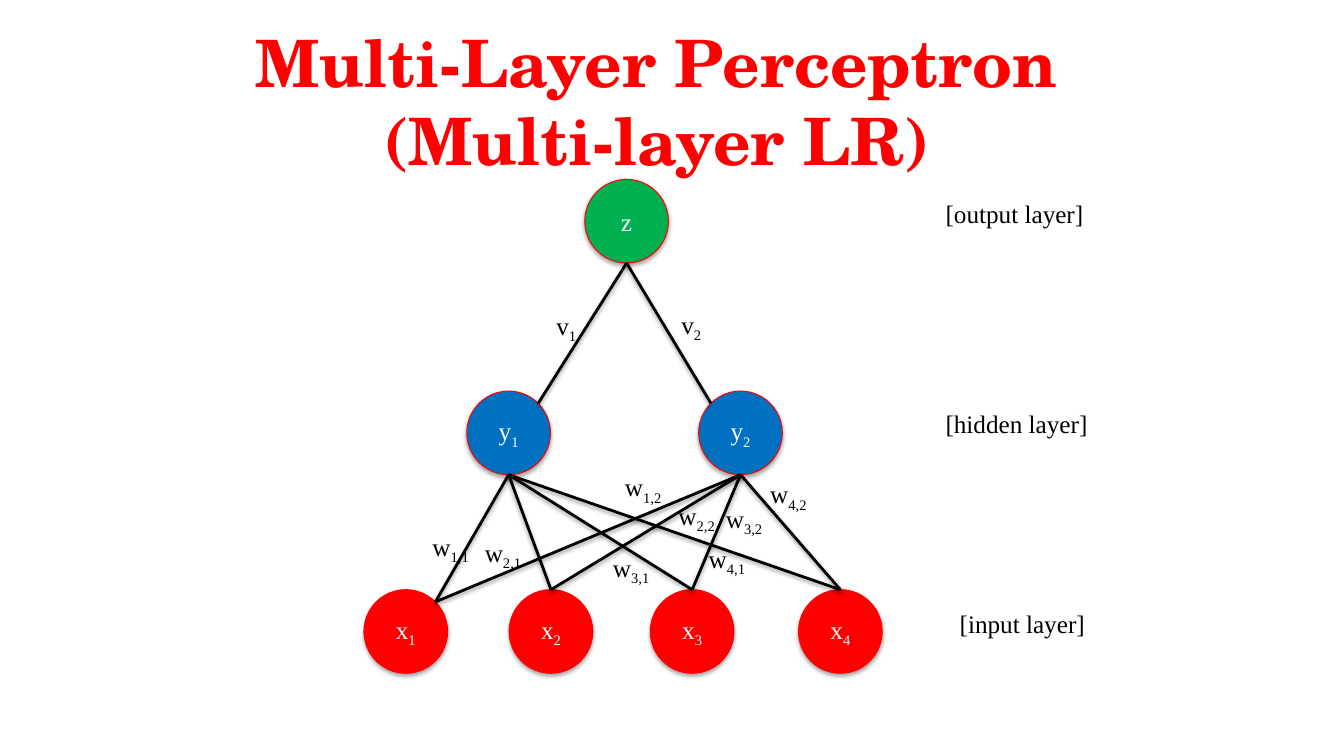
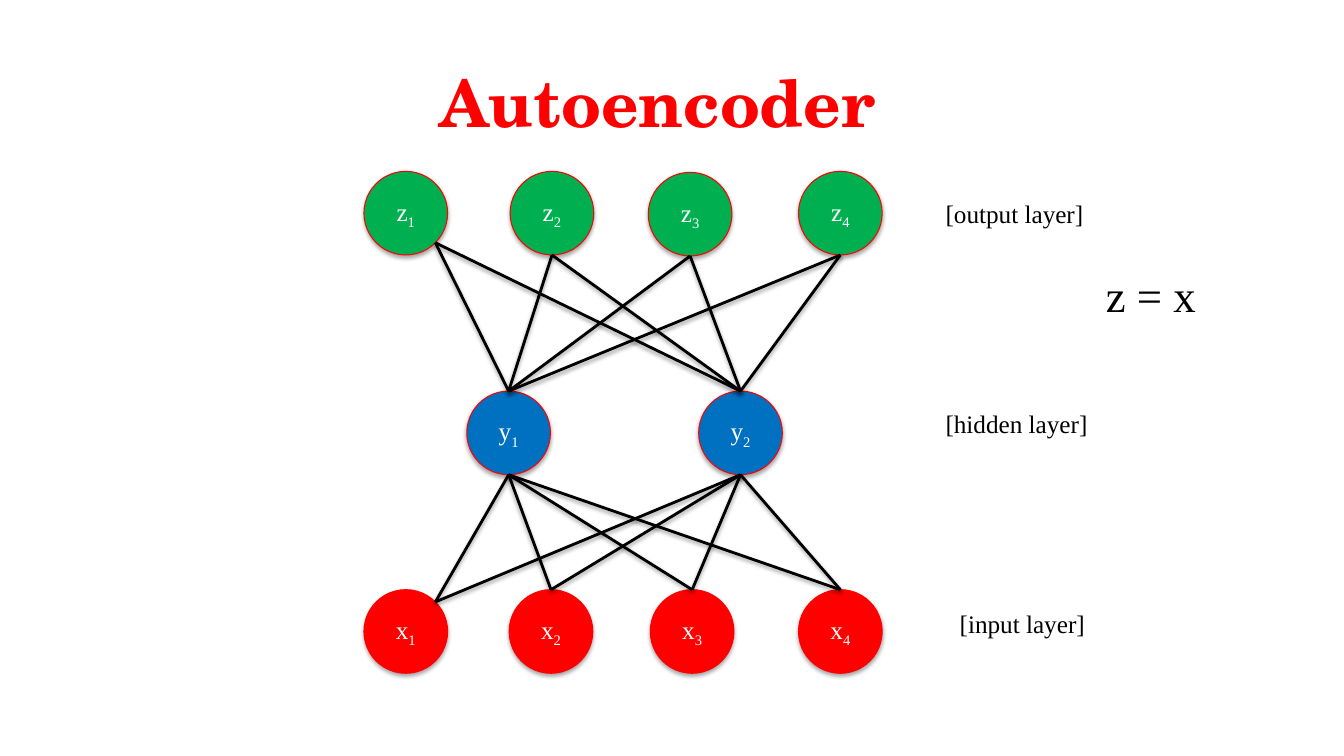
from itertools import product
from math import cos, pi, sin

from lxml.etree import SubElement
from pptx import Presentation
from pptx.dml.color import RGBColor
from pptx.enum.shapes import MSO_CONNECTOR, MSO_SHAPE
from pptx.enum.text import MSO_ANCHOR, PP_ALIGN
from pptx.oxml.ns import qn
from pptx.util import Emu, Pt

PX = 9144  # 100 px to the inch
COLORS = {
    "title": "FF0000", "outline": "FF0000", "ink": "000000", "node_text": "FFFFFF",
    "x": "FF0000", "y": "0070C0", "z": "00B050",
}
TITLE_FONT, BODY_FONT = "TeX Gyre Schola", "Times New Roman"
NODE_SIZE, LABEL_HEIGHT = 83, 40

# Connection sites of an ellipse run counterclockwise from the top
TOP, TOP_LEFT, BOTTOM, BOTTOM_RIGHT, TOP_RIGHT = 0, 1, 4, 5, 7

# Shared content: an underscore starts a subscript
INPUT_NODES = {"x_1": (361, 585), "x_2": (505, 585), "x_3": (645, 585), "x_4": (792, 585)}
HIDDEN_NODES = {"y_1": (463, 388), "y_2": (693, 388)}
INPUT_SITES = {"x_1": TOP_RIGHT, "x_2": TOP, "x_3": TOP, "x_4": TOP}
OUTPUT_SITES = {"z_1": BOTTOM_RIGHT, "z_2": BOTTOM, "z_3": BOTTOM, "z_4": BOTTOM}
LAYER_LABELS = [
    ("[hidden layer]", 928, 400, 163),
    ("[output layer]", 928, 192, 158),
    ("[input layer]", 942, 599, 146),
]


def fully_connect(outer_sites, hidden_site):
    return [(outer, site, hidden, hidden_site)
            for hidden, (outer, site) in product(HIDDEN_NODES, outer_sites.items())]


PAGES = [
    {
        "title": ("Multi-Layer Perceptron\n(Multi-layer LR)", 36, 17),
        "outputs": {"z": (580, 178)},
        "edges": [("y_1", TOP_RIGHT, "z", BOTTOM), ("y_2", TOP_LEFT, "z", BOTTOM)],
        "labels": [  # text, left, top, width, size
            ("v_1", 542, 303, 44, 18), ("v_2", 666, 302, 44, 18),
            ("w_1,1", 419, 522, 61, 18), ("w_2,1", 471, 528, 70, 18),
            ("w_3,1", 598, 543, 71, 18), ("w_4,1", 693, 534, 70, 18),
            ("w_1,2", 610, 463, 61, 18), ("w_2,2", 663, 491, 61, 18),
            ("w_3,2", 710, 494, 61, 18), ("w_4,2", 754, 470, 61, 18),
        ],
    },
    {
        "title": ("Autoencoder", 37, 57),
        "outputs": {"z_1": (361, 170), "z_2": (506, 170), "z_3": (643, 171), "z_4": (792, 170)},
        "edges": fully_connect(OUTPUT_SITES, TOP),
        "labels": [("z = x", 1087, 261, 188, 32)],
    },
]


def px(*lengths):
    return [Emu(round(length * PX)) for length in lengths]


def rgb(name):
    return RGBColor.from_string(COLORS[name])


def write_text(frame, text, *, size=18, font=BODY_FONT, color="ink", bold=False,
               align=PP_ALIGN.LEFT, anchor=MSO_ANCHOR.TOP, wrap=True):
    frame.word_wrap = wrap
    frame.vertical_anchor = anchor
    para = frame.paragraphs[0]
    para.alignment = align
    for number, line in enumerate(text.split("\n")):
        if number:
            para.add_line_break()
        for part, words in enumerate(line.split("_")):
            span = para.add_run()
            span.text = words
            span.font.size, span.font.name, span.font.bold = Pt(size), font, bold
            span.font.color.rgb = rgb(color)
            if part:
                span.font._element.set("baseline", "-25000")


def add_label(page, text, left, top, width, height=LABEL_HEIGHT, **style):
    box = page.shapes.add_textbox(*px(left, top, width, height))
    write_text(box.text_frame, text, **style)


def add_shadow(shape, distance, opacity):
    effects = SubElement(shape._element.spPr, qn("a:effectLst"))
    shadow = SubElement(effects, qn("a:outerShdw"), blurRad="40000", dist=str(distance),
                        dir="5400000", rotWithShape="0")
    color = SubElement(shadow, qn("a:srgbClr"), val=COLORS["ink"])
    SubElement(color, qn("a:alpha"), val=str(opacity * 1000))


def add_node(page, name, left, top):
    node = page.shapes.add_shape(MSO_SHAPE.OVAL, *px(left, top, NODE_SIZE, NODE_SIZE))
    node.fill.solid()
    node.fill.fore_color.rgb = rgb(name[0])
    node.line.color.rgb = rgb("outline")
    node.line.width = Pt(0.75)
    add_shadow(node, 23000, 35)
    write_text(node.text_frame, name, color="node_text", align=PP_ALIGN.CENTER,
               anchor=MSO_ANCHOR.MIDDLE)
    return node


def site_point(node, site):
    angle = site * pi / 4
    radius = node.width / 2
    return (Emu(round(node.left + radius - radius * sin(angle))),
            Emu(round(node.top + radius - radius * cos(angle))))


def add_edge(page, start, start_site, end, end_site):
    edge = page.shapes.add_connector(MSO_CONNECTOR.STRAIGHT, *site_point(start, start_site),
                                     *site_point(end, end_site))
    edge.line.color.rgb = rgb("ink")
    edge.line.width = Pt(2)
    add_shadow(edge, 20000, 38)
    # Glue both ends; begin_connect only knows the four rectangle sites
    joints = edge._element.nvCxnSpPr.cNvCxnSpPr
    for tag, node, site in (("a:stCxn", start, start_site), ("a:endCxn", end, end_site)):
        SubElement(joints, qn(tag), id=str(node.shape_id), idx=str(site))


def build_page(deck, content):
    page = deck.slides.add_slide(deck.slide_layouts[6])
    title, left, top = content["title"]
    add_label(page, title, left, top, 1230, 102, size=46.7, font=TITLE_FONT,
              color="title", bold=True, align=PP_ALIGN.CENTER)

    # Network
    places = {**INPUT_NODES, **HIDDEN_NODES, **content["outputs"]}
    nodes = {name: add_node(page, name, *place) for name, place in places.items()}
    for start, start_site, end, end_site in fully_connect(INPUT_SITES, BOTTOM) + content["edges"]:
        add_edge(page, nodes[start], start_site, nodes[end], end_site)

    # Labels
    for text, left, top, width, size in content["labels"]:
        add_label(page, text, left, top, width, size * 2 if size > 18 else LABEL_HEIGHT, size=size)
    for label in LAYER_LABELS:
        add_label(page, *label, wrap=False)


def main():
    deck = Presentation()
    deck.slide_width, deck.slide_height = px(1333, 750)
    for content in PAGES:
        build_page(deck, content)
    deck.save("out.pptx")


if __name__ == "__main__":
    main()
